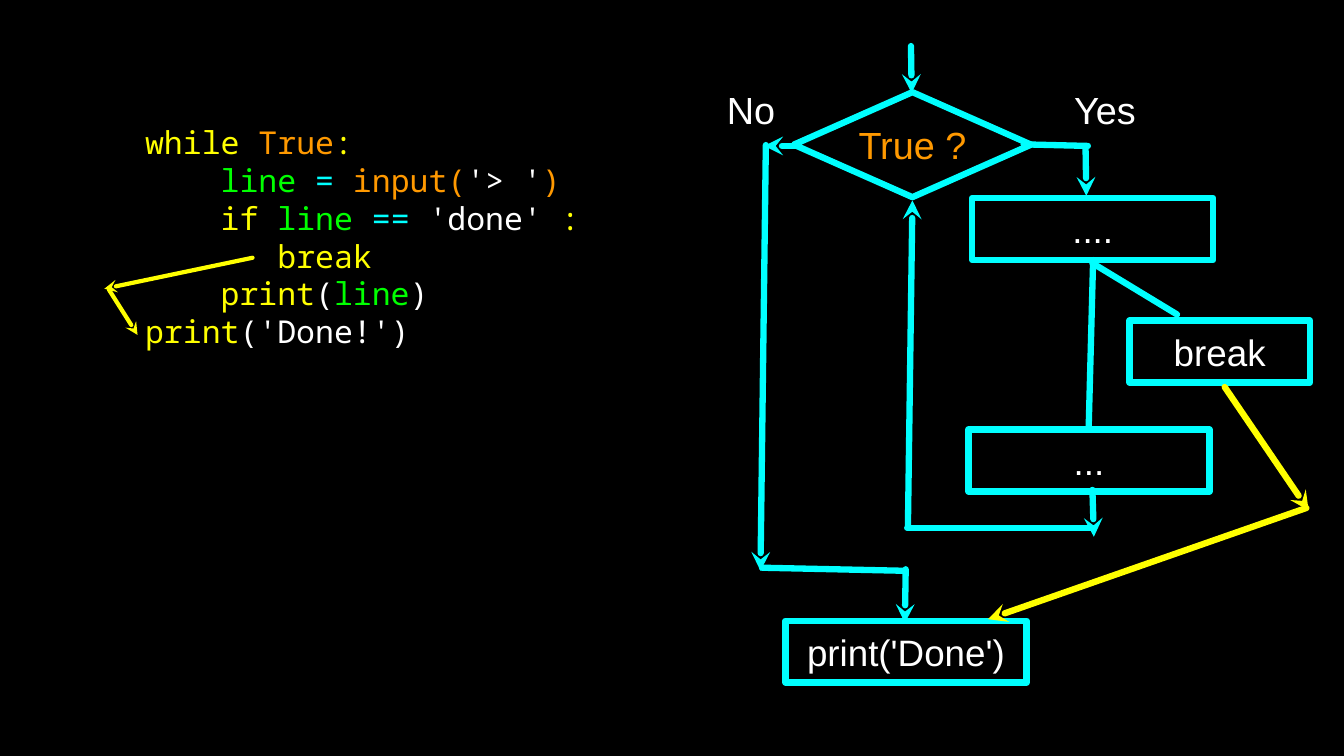
from dataclasses import dataclass

from lxml import etree
from pptx import Presentation
from pptx import util as u
from pptx.dml.color import RGBColor
from pptx.enum import shapes, text
from pptx.oxml.ns import qn

BLACK = RGBColor(0, 0, 0)
WHITE = RGBColor(255, 255, 255)
CYAN = RGBColor(0, 255, 255)
YELLOW = RGBColor(255, 255, 0)
GREEN = RGBColor(0, 255, 0)
ORANGE = RGBColor(255, 153, 0)

CODE_SIZE = 30
CHARACTER_WIDTH = 18
BOX_HEIGHT = 59
WIDE_BOX = 229.7


@dataclass
class Node:
    label: str
    left: float
    top: float
    width: float
    height: float = BOX_HEIGHT
    size: float = 35
    color: RGBColor = WHITE
    outline: shapes.MSO_SHAPE | None = shapes.MSO_SHAPE.RECTANGLE


@dataclass
class Flow:
    start: tuple[float, float]
    end: tuple[float, float]
    arrow: bool = True
    color: RGBColor = CYAN
    width: float = 6


@dataclass
class CodeLine:
    indent: int
    tokens: list[tuple[str, RGBColor]]


NODES = [
    Node("True ?", 756, 87.8, 226, 100, 36, ORANGE, shapes.MSO_SHAPE.DIAMOND),
    Node("No", 686.9, 79.2, 56.9, 49, 36, outline=None),
    Node("Yes", 1010.9, 79.2, 82.8, 49, 36, outline=None),
    Node("....", 925.9, 188.6, WIDE_BOX),
    Node("...", 922.3, 409, WIDE_BOX),
    Node("break", 1075.7, 305.3, 172),
    Node("print('Done')", 748.1, 591.1, WIDE_BOX),
]

FLOWS = [
    Flow((867.6, 43.9), (868.3, 88.6)),
    Flow((759.6, 139), (727.9, 139)),
    Flow((729.4, 138.2), (724.3, 543.6)),
    Flow((725.8, 540.7), (861.1, 543.6), arrow=False),
    Flow((862.6, 542.2), (861.8, 593.3)),
    Flow((974.9, 137.5), (1036.1, 139), arrow=False),
    Flow((1033.9, 141.8), (1034.6, 186.5)),
    Flow((1041.1, 247.7), (1036.8, 409), arrow=False),
    Flow((1040.4, 250.6), (1121, 299.5), arrow=False),
    Flow((1040.4, 466.6), (1041.8, 511.2)),
    Flow((1039, 502.6), (864, 502.6), arrow=False),
    Flow((864.7, 502.6), (869, 190.8)),
    Flow((1166.4, 368.6), (1246.3, 486), color=YELLOW),
    Flow((1244.2, 483.8), (941, 589.7), color=YELLOW),
    Flow((240.5, 245.5), (99.4, 275), color=YELLOW, width=4),
    Flow((103.7, 275.8), (131, 319), color=YELLOW, width=4),
]

CODE = [
    CodeLine(0, [("while ", YELLOW), ("True", ORANGE), (":", YELLOW)]),
    CodeLine(4, [("line ", GREEN), ("= ", CYAN), ("input(", ORANGE),
                 ("'> '", WHITE), (")", ORANGE)]),
    CodeLine(4, [("if ", YELLOW), ("line ", GREEN), ("== ", CYAN),
                 ("'done'", WHITE), (" :", YELLOW)]),
    CodeLine(7, [("break", YELLOW)]),
    CodeLine(4, [("print", YELLOW), ("(", WHITE), ("line", GREEN), (")", WHITE)]),
    CodeLine(0, [("print", YELLOW), ("('Done!')", WHITE)]),
]


def prepare_frame(frame, wrap: bool) -> None:
    frame.margin_left = frame.margin_right = u.Pt(0)
    frame.margin_top = frame.margin_bottom = u.Pt(0)
    frame.vertical_anchor = text.MSO_ANCHOR.MIDDLE
    frame.word_wrap = wrap


def draw_node(slide, node: Node) -> None:
    bounds = [u.Pt(v) for v in (node.left, node.top, node.width, node.height)]
    if node.outline is None:
        holder = slide.shapes.add_textbox(*bounds)
    else:
        holder = slide.shapes.add_shape(node.outline, *bounds)
        holder.shadow.inherit = False
        holder.fill.background()
        holder.line.color.rgb = CYAN
        holder.line.width = u.Pt(6)
    prepare_frame(holder.text_frame, False)
    label = holder.text_frame.paragraphs[0]
    label.text = node.label
    label.alignment = text.PP_ALIGN.CENTER
    label.font.name = "Arial"
    label.font.size = u.Pt(node.size)
    label.font.color.rgb = node.color


def draw_flow(slide, flow: Flow) -> None:
    ends = [u.Pt(v) for v in (*flow.start, *flow.end)]
    connector = slide.shapes.add_connector(shapes.MSO_CONNECTOR.STRAIGHT, *ends)
    connector.line.color.rgb = flow.color
    connector.line.width = u.Pt(flow.width)
    properties = connector.element.spPr
    stroke = properties.find(qn("a:ln"))
    stroke.set("cap", "rnd")
    if flow.arrow:
        etree.SubElement(stroke, qn("a:tailEnd"), type="stealth")
    etree.SubElement(properties, qn("a:effectLst"))


def draw_code(slide, lines: list[CodeLine]) -> None:
    listing = slide.shapes.add_textbox(u.Pt(138.2), u.Pt(94.3), u.Pt(516.2), u.Pt(262))
    frame = listing.text_frame
    prepare_frame(frame, True)
    for number, line in enumerate(lines):
        row = frame.add_paragraph() if number else frame.paragraphs[0]
        row.line_spacing = u.Pt(36)
        row.font.name = "Noto Sans Mono"
        row.font.size = u.Pt(CODE_SIZE)
        if line.indent:
            margin = u.Pt(line.indent * CHARACTER_WIDTH)
            row._p.get_or_add_pPr().set("marL", str(margin))
        for word, color in line.tokens:
            token = row.add_run()
            token.text = word
            token.font.color.rgb = color


def main() -> None:
    deck = Presentation()
    deck.slide_width, deck.slide_height = u.Pt(1280), u.Pt(720)
    slide = deck.slides.add_slide(deck.slide_layouts[6])
    slide.background.fill.solid()
    slide.background.fill.fore_color.rgb = BLACK
    for node in NODES:
        draw_node(slide, node)
    draw_code(slide, CODE)
    for flow in FLOWS:
        draw_flow(slide, flow)
    deck.save("out.pptx")


main()
